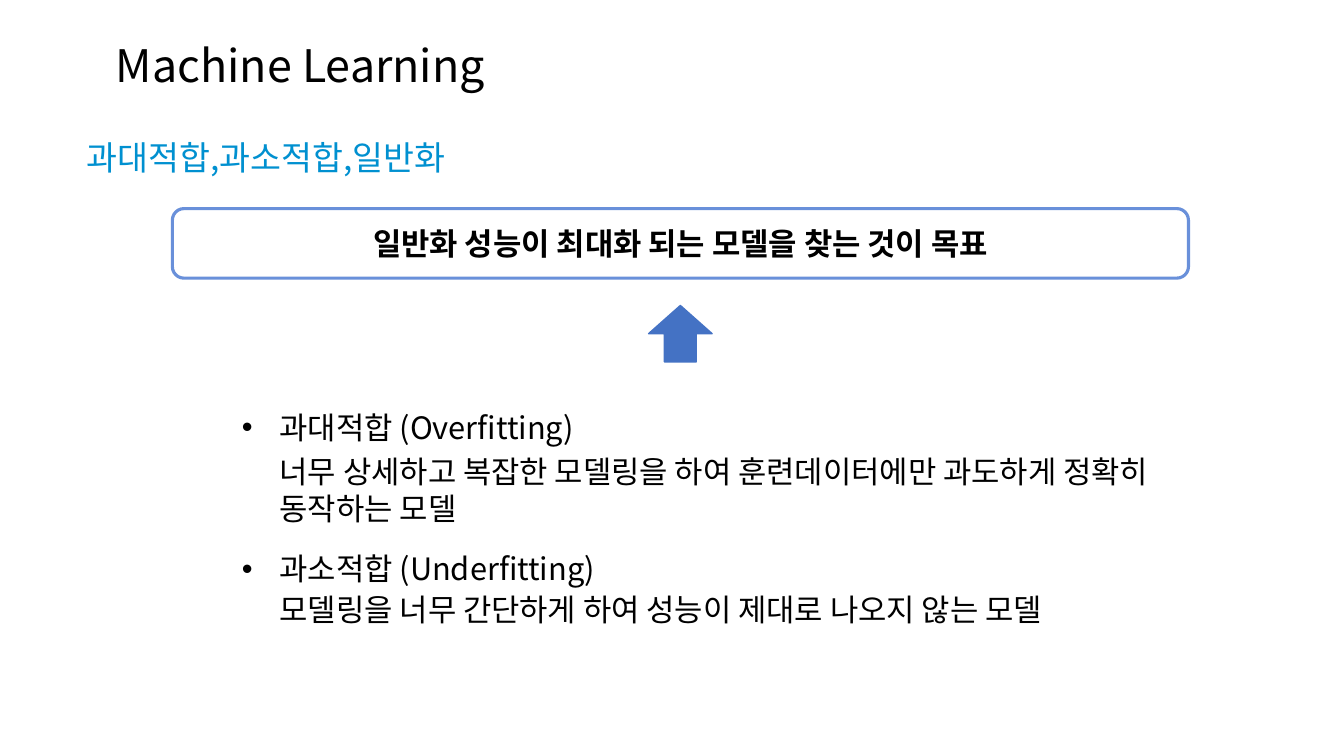
from dataclasses import dataclass

from lxml.etree import SubElement
from pptx import Presentation
from pptx.dml.color import RGBColor as Color
from pptx.enum.shapes import MSO_SHAPE as ShapeKind
from pptx.enum.text import MSO_ANCHOR as Anchor
from pptx.enum.text import MSO_AUTO_SIZE as AutoSize
from pptx.enum.text import PP_ALIGN as Align
from pptx.oxml.ns import qn
from pptx.util import Pt


@dataclass(frozen=True)
class Theme:
    font: str = "Noto Sans CJK KR"
    ink: str = "000000"
    accent: str = "0090D0"
    arrow: str = "4472C4"
    outline: str = "6990DA"
    title_size: float = 32
    heading_size: float = 24
    text_size: float = 22
    leading: float = 1.2
    indent: float = 27


@dataclass(frozen=True)
class Frame:
    left: float
    top: float
    width: float
    height: float


@dataclass(frozen=True)
class Concept:
    name: str
    meaning: str
    name_gap: float
    meaning_gap: float


THEME = Theme()
TITLE_FRAME = Frame(75.6, 23, 289.4, 46)
HEADING_FRAME = Frame(54.7, 94, 337, 36)
GOAL_FRAME = Frame(123.1, 149, 725.8, 49.7)
ARROW_FRAME = Frame(463.3, 218.2, 45.4, 40.3)
LIST_FRAME = Frame(165.6, 288, 684, 166)

CONCEPTS = [
    Concept(
        "과대적합 (Overfitting)",
        "너무 상세하고 복잡한 모델링을 하여 훈련데이터에만 과도하게 정확히 동작하는 모델",
        0,
        5.5,
    ),
    Concept(
        "과소적합 (Underfitting)",
        "모델링을 너무 간단하게 하여 성능이 제대로 나오지 않는 모델",
        16.5,
        2.5,
    ),
]


def place(box, frame: Frame) -> None:
    box.left, box.top = Pt(frame.left), Pt(frame.top)
    box.width, box.height = Pt(frame.width), Pt(frame.height)


def prepare(box, anchor=Anchor.TOP) -> None:
    text_frame = box.text_frame
    text_frame.word_wrap = True
    text_frame.auto_size = AutoSize.NONE
    text_frame.vertical_anchor = anchor


def write(para, text: str, size: float, color: str = THEME.ink,
          align=Align.LEFT, bold: bool = False, gap: float = 0) -> None:
    para.alignment = align
    para.line_spacing = Pt(size * THEME.leading)
    para.space_before = Pt(gap)
    para.space_after = Pt(0)
    span = para.add_run()
    span.text = text
    span.font.size = Pt(size)
    span.font.bold = bold
    span.font.color.rgb = Color.from_string(color)
    span.font.name = THEME.font
    SubElement(span.font._element, qn("a:ea"), typeface=THEME.font)


def set_bullet(para, bullet: str) -> None:
    properties = para._p.get_or_add_pPr()
    properties.set("marL", str(Pt(THEME.indent)))
    properties.set("indent", str(-Pt(THEME.indent) if bullet else 0))
    if bullet:
        SubElement(properties, qn("a:buFont"), typeface="Arial")
        SubElement(properties, qn("a:buChar"), char=bullet)
    else:
        SubElement(properties, qn("a:buNone"))


def add_shape(page, kind, frame: Frame, line: str, weight: float, fill: str = ""):
    shape = page.shapes.add_shape(
        kind, Pt(frame.left), Pt(frame.top), Pt(frame.width), Pt(frame.height))
    shape.shadow.inherit = False
    shape.line.color.rgb = Color.from_string(line)
    shape.line.width = Pt(weight)
    if fill:
        shape.fill.solid()
        shape.fill.fore_color.rgb = Color.from_string(fill)
    else:
        shape.fill.background()
    return shape


def fill_list(body, concepts: list[Concept]) -> None:
    place(body, LIST_FRAME)
    prepare(body)
    rows = [row for concept in concepts for row in (
        (concept.name, concept.name_gap, "•"),
        (concept.meaning, concept.meaning_gap, ""),
    )]
    for index, (text, gap, bullet) in enumerate(rows):
        text_frame = body.text_frame
        para = text_frame.add_paragraph() if index else text_frame.paragraphs[0]
        write(para, text, THEME.text_size, gap=gap)
        set_bullet(para, bullet)


def main() -> None:
    deck = Presentation()
    deck.slide_width, deck.slide_height = Pt(960), Pt(540)
    page = deck.slides.add_slide(deck.slide_layouts[1])

    title = page.shapes.title
    place(title, TITLE_FRAME)
    prepare(title)
    write(title.text_frame.paragraphs[0], "Machine Learning", THEME.title_size)

    heading = page.shapes.add_textbox(0, 0, 0, 0)
    place(heading, HEADING_FRAME)
    prepare(heading)
    write(heading.text_frame.paragraphs[0], "과대적합,과소적합,일반화",
          THEME.heading_size, THEME.accent)

    goal = add_shape(page, ShapeKind.ROUNDED_RECTANGLE, GOAL_FRAME, THEME.outline, 2.25)
    prepare(goal, Anchor.MIDDLE)
    write(goal.text_frame.paragraphs[0], "일반화 성능이 최대화 되는 모델을 찾는 것이 목표",
          THEME.text_size, align=Align.CENTER, bold=True)

    add_shape(page, ShapeKind.UP_ARROW, ARROW_FRAME, THEME.arrow, 1, THEME.arrow)
    fill_list(page.placeholders[1], CONCEPTS)
    deck.save("out.pptx")


if __name__ == "__main__":
    main()
